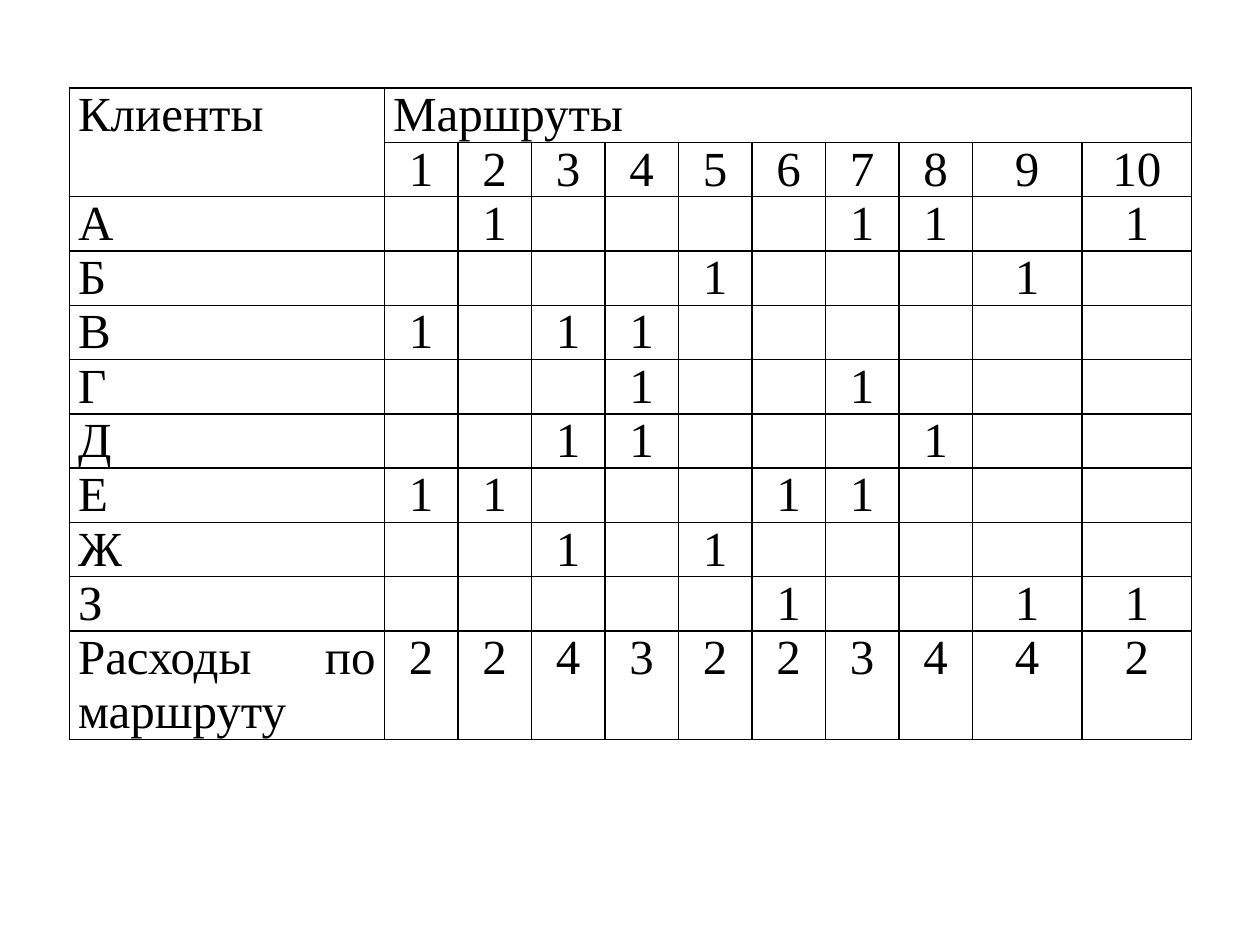
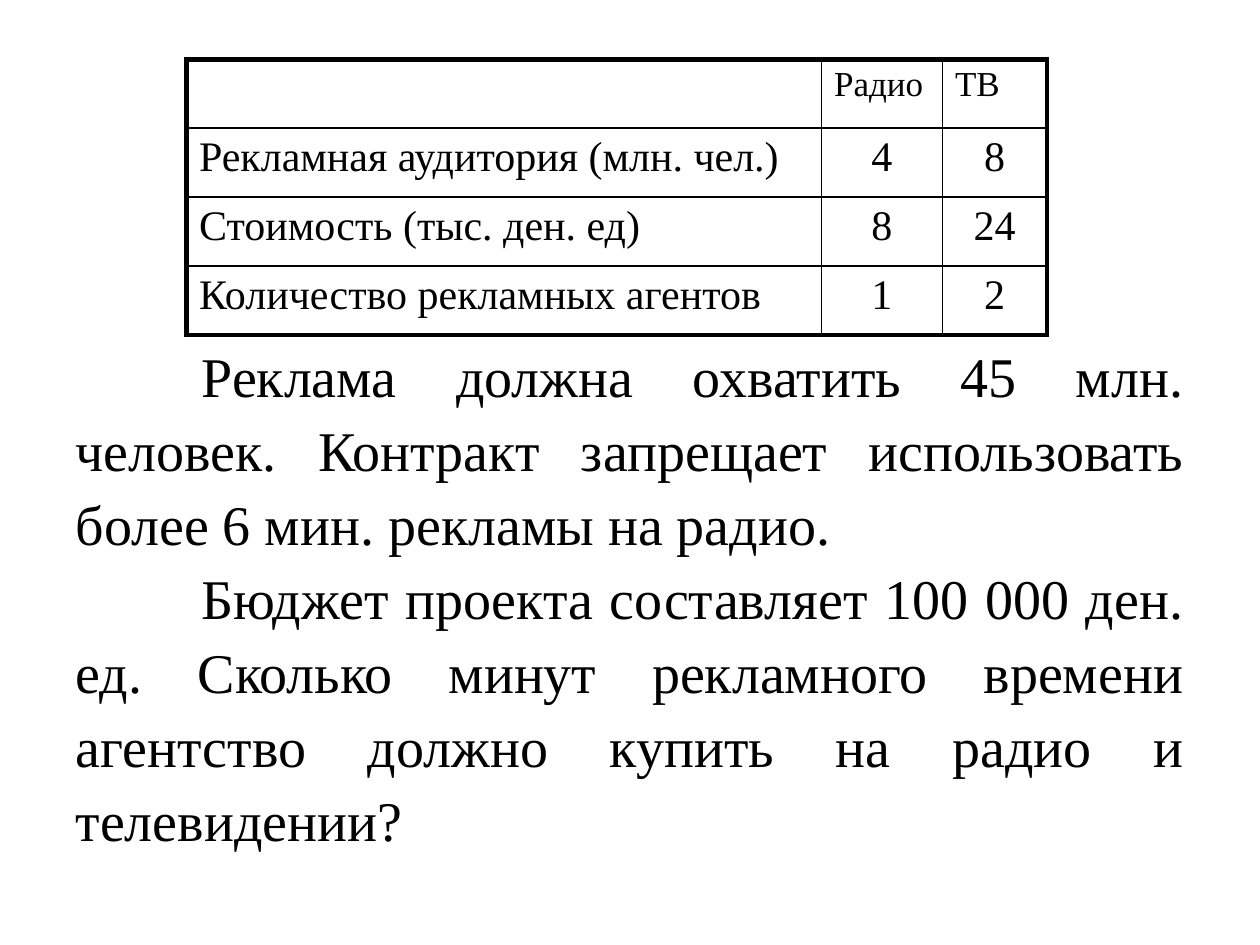
import pptx
import pptx.util
import pptx.dml.color
import pptx.enum.text
import pptx.oxml
import pptx.oxml.ns
import lxml.etree

Inches = pptx.util.Inches
Pt = pptx.util.Pt
ALIGN = pptx.enum.text.PP_ALIGN
BLACK = pptx.dml.color.RGBColor(0, 0, 0)
FONT = "Times New Roman"

CLIENT_ROUTES = {
    "А": (2, 7, 8, 10),
    "Б": (5, 9),
    "В": (1, 3, 4),
    "Г": (4, 7),
    "Д": (3, 4, 8),
    "Е": (1, 2, 6, 7),
    "Ж": (3, 5),
    "З": (6, 9, 10),
}
ROUTE_COSTS = (2, 2, 4, 3, 2, 2, 3, 4, 4, 2)
ROUTES_WIDTH, CLIENT_WIDTH, WIDE_ROUTE = 8.91, 2.5, 0.87
NARROW_ROUTE = (ROUTES_WIDTH - CLIENT_WIDTH - 2 * WIDE_ROUTE) / 8
ROUTE_WIDTHS = [CLIENT_WIDTH] + [NARROW_ROUTE] * 8 + [WIDE_ROUTE] * 2
CLIENT_ROW = 0.43

MEDIA_ROWS = [
    ("", "Радио", "ТВ"),
    ("Рекламная аудитория (млн. чел.)", 4, 8),
    ("Стоимость (тыс. ден. ед)", 8, 24),
    ("Количество рекламных агентов", 1, 2),
]
MEDIA_WIDTHS = [5.04, 0.96, 0.83]
MEDIA_HEIGHT = 2.19

TASK = [
    "Реклама должна охватить 45 млн. человек. Контракт запрещает использовать "
    "более 6 мин. рекламы на радио.",
    "Бюджет проекта составляет 100 000 ден. ед. Сколько минут рекламного времени "
    "агентство должно купить на радио и телевидении?",
]


def style_paragraph(para, size, align):
    para.alignment = align
    para.font.size = Pt(size)
    para.font.name = FONT
    para.font.color.rgb = BLACK


def add_border(cell, side, width):
    properties = cell._tc.get_or_add_tcPr()
    line = lxml.etree.SubElement(properties, pptx.oxml.ns.qn("a:ln" + side), w=str(Pt(width)))
    fill = lxml.etree.SubElement(line, pptx.oxml.ns.qn("a:solidFill"))
    lxml.etree.SubElement(fill, pptx.oxml.ns.qn("a:srgbClr"), val=str(BLACK))


def add_grid(page, left, top, rows, widths, heights, outer, style_of):
    frame = page.shapes.add_table(
        len(rows), len(widths), Inches(left), Inches(top),
        Inches(sum(widths)), Inches(sum(heights)),
    )
    table = frame.table
    table.first_row = table.horz_banding = False
    for column, width in zip(table.columns, widths):
        column.width = Inches(width)
    for row, height in zip(table.rows, heights):
        row.height = Inches(height)
    last_row, last_column = len(rows) - 1, len(widths) - 1
    for i, values in enumerate(rows):
        for j, value in enumerate(values):
            cell = table.cell(i, j)
            edges = {"L": j == 0, "R": j == last_column, "T": i == 0, "B": i == last_row}
            for side, is_outer in edges.items():
                add_border(cell, side, outer if is_outer else 1)
            cell.fill.background()
            cell.text = str(value)
            style_paragraph(cell.text_frame.paragraphs[0], *style_of(i, j))
    return table


def route_style(row, column):
    heading = row == 0 or column == 0
    return 28, ALIGN.JUSTIFY if heading else ALIGN.CENTER


def media_style(row, column):
    heading = row == 0 or column == 0
    return 20 if row == 0 else 24, ALIGN.LEFT if heading else ALIGN.CENTER


def build_routes(deck):
    page = deck.slides.add_slide(deck.slide_layouts[6])
    routes = range(1, len(ROUTE_COSTS) + 1)
    rows = [["Клиенты", "Маршруты"] + [""] * (len(routes) - 1), ["", *routes]]
    for client, served in CLIENT_ROUTES.items():
        rows.append([client] + [1 if route in served else "" for route in routes])
    rows.append(["Расходы по маршруту", *ROUTE_COSTS])
    heights = [CLIENT_ROW] * (len(rows) - 1) + [2 * CLIENT_ROW]
    table = add_grid(page, 0.55, 0.7, rows, ROUTE_WIDTHS, heights, 1, route_style)
    for cell in table.iter_cells():
        cell.margin_left = cell.margin_right = Inches(0.07)
        cell.margin_top = cell.margin_bottom = 0
    table.cell(0, 0).merge(table.cell(1, 0))
    table.cell(0, 1).merge(table.cell(0, len(routes)))


def build_advertising(deck):
    page = deck.slides.add_slide(deck.slide_layouts[1])
    title, body = page.placeholders
    title._element.getparent().remove(title._element)
    body.left, body.top = Inches(0.5), Inches(2.61)
    body.width, body.height = Inches(9), Inches(4.27)
    text = body.text_frame
    text.text = "\n".join(TASK)
    text.auto_size = pptx.enum.text.MSO_AUTO_SIZE.NONE
    for para in text.paragraphs:
        style_paragraph(para, 32, ALIGN.JUSTIFY)
        para.line_spacing = 1.1
        para.space_before = Pt(0)
        properties = para._p.get_or_add_pPr()
        properties.set("marL", "0")
        properties.set("indent", str(Inches(1)))
        bullet = pptx.oxml.ns.qn("a:buNone")
        properties.insert_element_before(
            properties.makeelement(bullet), "a:tabLst", "a:defRPr", "a:extLst"
        )
    heights = [MEDIA_HEIGHT / len(MEDIA_ROWS)] * len(MEDIA_ROWS)
    add_grid(page, 1.48, 0.47, MEDIA_ROWS, MEDIA_WIDTHS, heights, 3, media_style)


def main():
    deck = pptx.Presentation()
    deck.slide_width, deck.slide_height = Inches(10), Inches(7.5)
    build_routes(deck)
    build_advertising(deck)
    deck.save("out.pptx")


if __name__ == "__main__":
    main()
